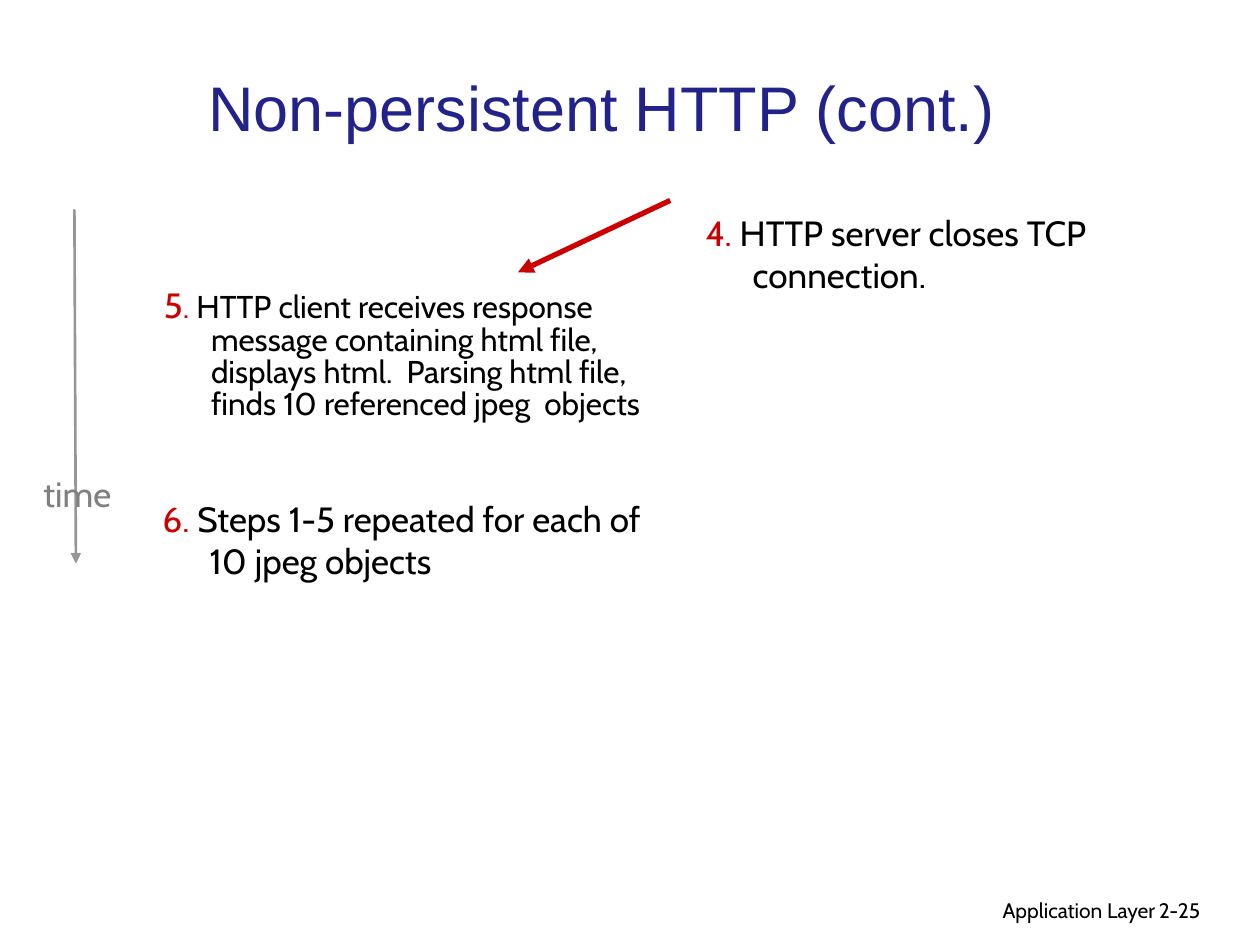
from lxml import etree
from pptx import Presentation
from pptx.dml.color import RGBColor
from pptx.enum.shapes import MSO_CONNECTOR
from pptx.enum.text import MSO_ANCHOR, MSO_AUTO_SIZE, PP_ALIGN
from pptx.oxml.ns import qn
from pptx.util import Cm, Pt

NAVY = RGBColor(0x22, 0x22, 0x8B)
RED = RGBColor(0xCC, 0x00, 0x00)
BLACK = RGBColor(0, 0, 0)
LINE_GRAY = RGBColor(0x96, 0x96, 0x96)
TEXT_GRAY = RGBColor(0x80, 0x80, 0x80)
BODY_FONT = "Cabin"
TITLE_FONT = "Arial"
COMPARISON_LAYOUT = 4


def place(sp, box):
    sp.left, sp.top, sp.width, sp.height = (Cm(v) for v in box)


def style_run(r, size, color, font=BODY_FONT):
    r.font.name = font
    r.font.size = Pt(size)
    r.font.bold = False
    r.font.color.rgb = color


def add_title(slide, box, text):
    sp = slide.shapes.title
    place(sp, box)
    tf = sp.text_frame
    tf.text = text
    tf.word_wrap = False
    tf.auto_size = MSO_AUTO_SIZE.NONE
    tf.vertical_anchor = MSO_ANCHOR.TOP
    p = tf.paragraphs[0]
    p.alignment = PP_ALIGN.LEFT
    p.space_before = Pt(0)
    style_run(p.runs[0], 36, NAVY, TITLE_FONT)


def fill_step(sp, box, parts, spacing=1.0):
    """Fill a body placeholder with one hanging step made of (text, size, color) parts."""
    place(sp, box)
    tf = sp.text_frame
    tf.word_wrap = True
    tf.auto_size = MSO_AUTO_SIZE.NONE
    tf.vertical_anchor = MSO_ANCHOR.TOP
    p = tf.paragraphs[0]
    pPr = p._p.get_or_add_pPr()
    pPr.set("marL", str(Cm(0.95)))
    pPr.set("indent", str(Cm(-0.95)))
    etree.SubElement(pPr, qn("a:buNone"))
    p.alignment = PP_ALIGN.LEFT
    p.line_spacing = spacing
    p.space_before = Pt(0)
    for text, size, color in parts:
        r = p.add_run()
        r.text = text
        style_run(r, size, color)


def add_label(slide, box, text, size, color, align, wrap=True):
    sp = slide.shapes.add_textbox(*(Cm(v) for v in box))
    tf = sp.text_frame
    tf.text = text
    tf.word_wrap = wrap
    p = tf.paragraphs[0]
    p.alignment = align
    style_run(p.runs[0], size, color)


def add_arrow(slide, start, end, color, width):
    ends = (Cm(v) for v in (*start, *end))
    line = slide.shapes.add_connector(MSO_CONNECTOR.STRAIGHT, *ends)
    line.line.color.rgb = color
    line.line.width = Pt(width)
    etree.SubElement(line.line._get_or_add_ln(), qn("a:tailEnd"), type="triangle")
    etree.SubElement(line._element.spPr, qn("a:effectLst"))


def add_time_axis(slide, left, top):
    add_arrow(slide, (left + 0.94, top), (left + 0.97, top + 7.14), LINE_GRAY, 1.5)
    add_label(slide, (left, top + 5.18, 2, 1.12), "time", 20, TEXT_GRAY,
              PP_ALIGN.CENTER, wrap=False)


def add_footer(slide, left, top):
    add_label(slide, (left, top, 8.05, 0.78), "Application Layer", 12, BLACK, PP_ALIGN.RIGHT)
    add_label(slide, (left + 7.62, top, 1.88, 0.78), "2-25", 12, BLACK, PP_ALIGN.LEFT)


def add_steps(slide, left, top):
    """Server step on the right, client steps on the left."""
    step_4, step_5, step_6, spare = list(slide.placeholders)[1:5]
    width = 10.6
    fill_step(step_4, (left + 10.95, top, width, 2.03),
              [("4.", 20, RED), (" HTTP server closes TCP connection.", 20, BLACK)])
    fill_step(step_5, (left + 0.03, top + 1.58, width, 4.27),
              [("5", 20, RED), (".", 18, RED),
               (" HTTP client receives response message containing html file, "
                "displays html.  Parsing html file, finds 10 referenced jpeg  objects",
                18, BLACK)], spacing=0.85)
    fill_step(step_6, (left, top + 5.77, width, 1.85),
              [("6.", 20, RED), (" Steps 1-5 repeated for each of 10 jpeg objects", 20, BLACK)])
    spare._element.getparent().remove(spare._element)
    add_arrow(slide, (left + 10.49, top - 0.1), (left + 7.42, top + 1.35), RED, 3)


def main():
    prs = Presentation()
    prs.slide_width, prs.slide_height = Cm(25.4), Cm(19.05)
    slide = prs.slides.add_slide(prs.slide_layouts[COMPARISON_LAYOUT])
    add_title(slide, (3.94, 1.25, 16.38, 1.78), "Non-persistent HTTP (cont.)")
    add_steps(slide, 3.02, 4.14)
    add_time_axis(slide, 0.56, 4.22)
    add_footer(slide, 15.49, 17.96)
    prs.save("out.pptx")


if __name__ == "__main__":
    main()
